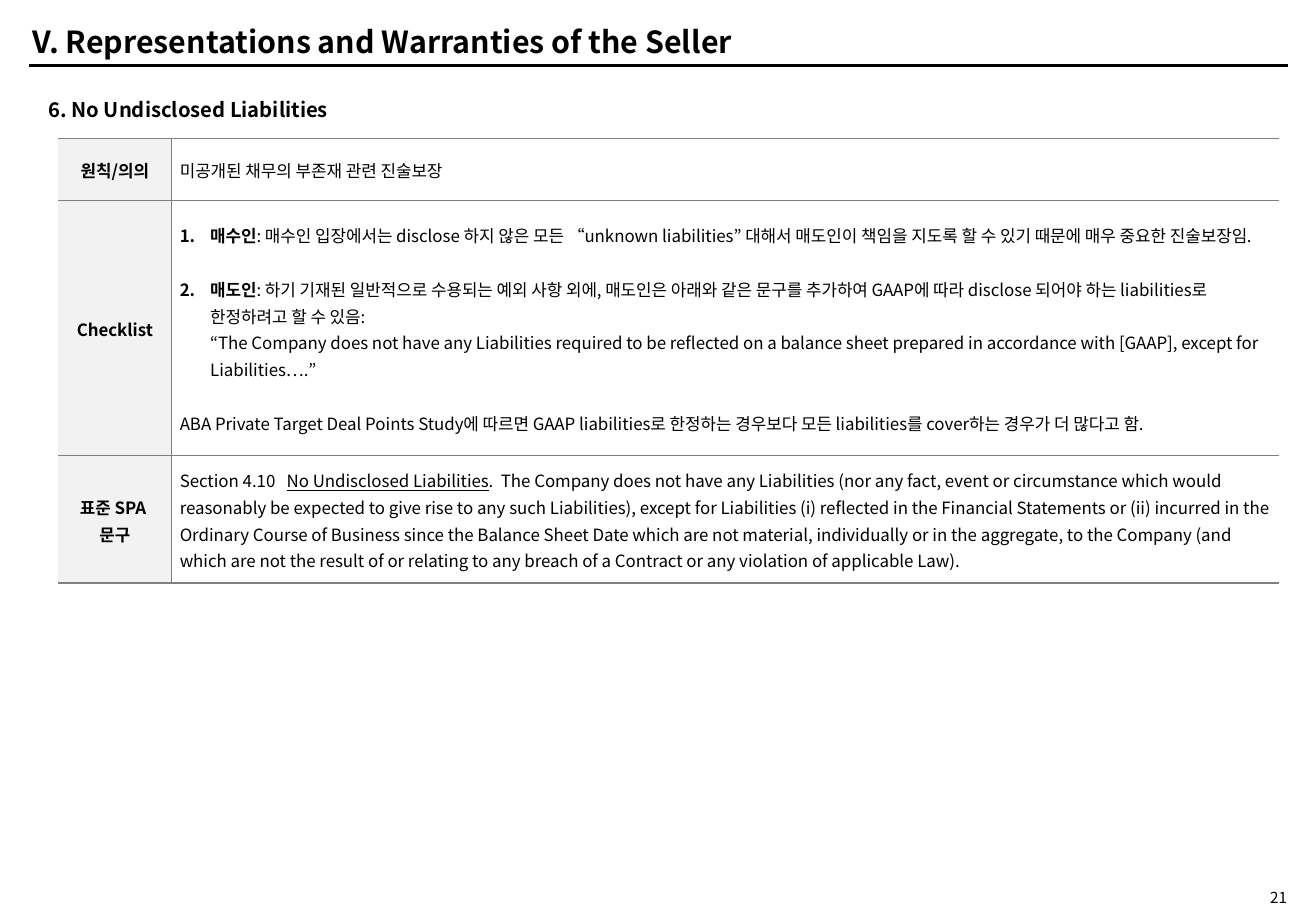
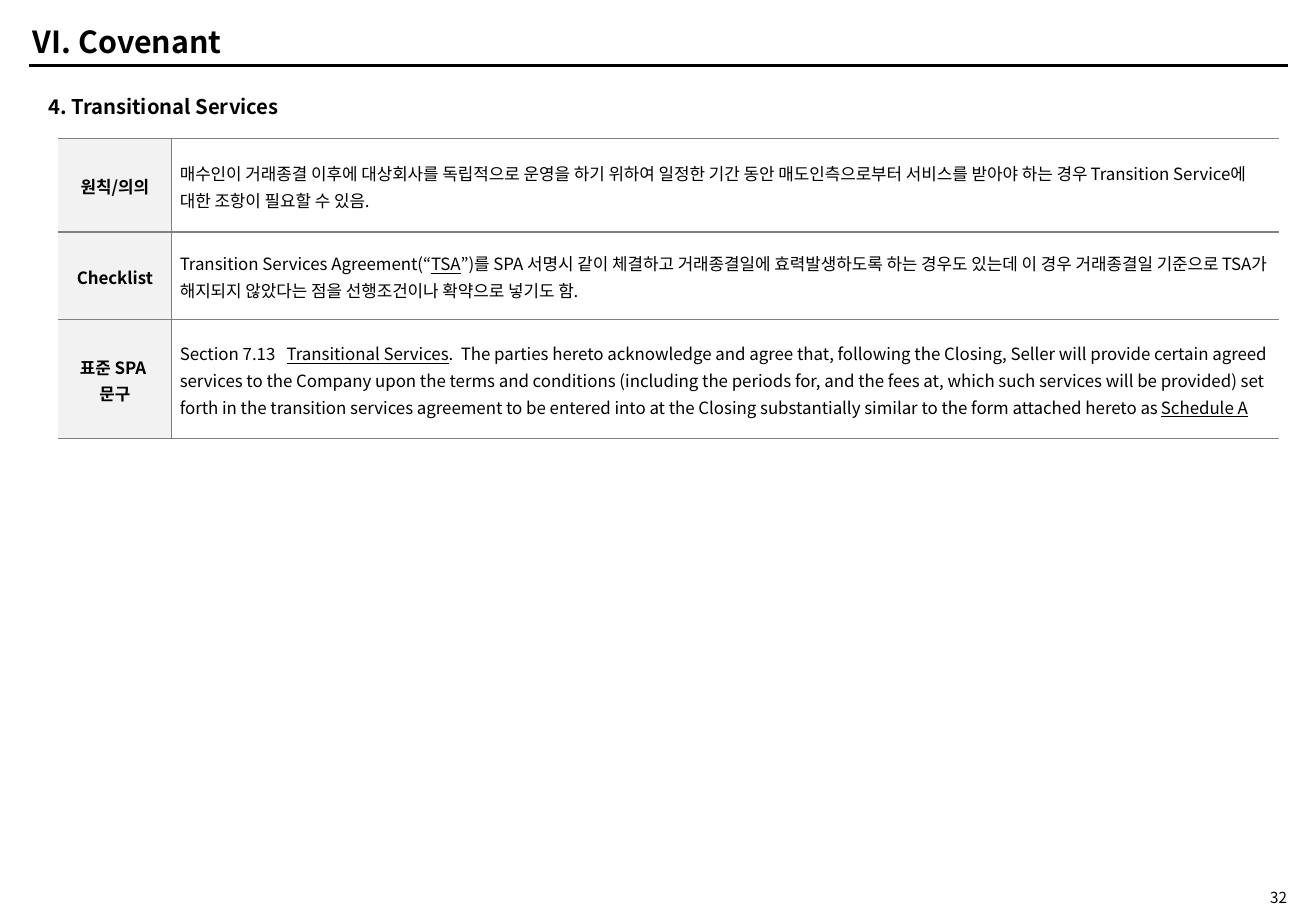
from copy import deepcopy
from dataclasses import dataclass

from lxml.etree import SubElement
from pptx import Presentation
from pptx.dml.color import RGBColor
from pptx.enum.shapes import MSO_CONNECTOR
from pptx.enum.text import MSO_ANCHOR, MSO_AUTO_SIZE, PP_ALIGN
from pptx.oxml.ns import qn
from pptx.util import Emu, Pt

PX = 9144
FONT = "Noto Sans CJK KR"
COLORS = {"ink": "000000", "grid": "808080", "label": "F2F2F2", "paper": "FFFFFF"}
LABELS = ("원칙/의의", "Checklist", "표준 SPA \n문구")
COLUMNS = (93, 912)
TABLE_LEFT, TABLE_TOP = 48, 114
SECTION_TAB = 88
LIST_INDENT = 25
BLOCK_GAP = 16


@dataclass
class Passage:
    runs: tuple
    numbered: bool = False
    gap: int = 0
    tab: int = 0


def px(value):
    return Emu(value * PX)


def color(name):
    return RGBColor.from_string(COLORS[name])


def add_runs(paragraph, runs, size):
    for text, style in runs:
        for index, line in enumerate(text.split("\n")):
            if index:
                paragraph.add_line_break()
                paragraph._p[-1].append(deepcopy(run._r.rPr))
            run = paragraph.add_run()
            run.text = line
            font = run.font
            font.size = Pt(size)
            font.bold = "b" in style
            font.underline = "u" in style
            font.color.rgb = color("ink")
            font.name = FONT
            SubElement(run._r.rPr, qn("a:ea"), typeface=FONT)


def add_title(slide, text, width):
    title = slide.shapes.title
    title.left, title.top, title.width, title.height = map(px, (17, 15, width, 38))
    frame = title.text_frame
    frame.auto_size = MSO_AUTO_SIZE.NONE
    frame.vertical_anchor = MSO_ANCHOR.MIDDLE
    paragraph = frame.paragraphs[0]
    paragraph.alignment = PP_ALIGN.LEFT
    add_runs(paragraph, [(text, "b")], 18)


def add_text(slide, box, text, size, style="", align=PP_ALIGN.LEFT):
    frame = slide.shapes.add_textbox(*map(px, box)).text_frame
    frame.word_wrap = True
    frame.auto_size = MSO_AUTO_SIZE.SHAPE_TO_FIT_TEXT
    paragraph = frame.paragraphs[0]
    paragraph.alignment = align
    add_runs(paragraph, [(text, style)], size)
    return frame


def add_rule(slide):
    rule = slide.shapes.add_connector(MSO_CONNECTOR.STRAIGHT, px(24), px(54), px(1060), px(54))
    rule.line.color.rgb = color("ink")
    rule.line.width = Pt(2)
    SubElement(rule._element.spPr, qn("a:effectLst"))


def add_page_number(slide, number):
    frame = add_text(slide, (975, 731, 94, 15), number, 9, align=PP_ALIGN.RIGHT)
    frame.vertical_anchor = MSO_ANCHOR.MIDDLE
    frame.margin_top = frame.margin_bottom = 0


def set_borders(cell, edges):
    properties = cell._tc.get_or_add_tcPr()
    for edge in "LRTB":
        line = SubElement(properties, qn(f"a:ln{edge}"), w=str(Pt(1)))
        if edge in edges:
            fill = SubElement(line, qn("a:solidFill"))
            SubElement(fill, qn("a:srgbClr"), val=COLORS["grid"])
        else:
            SubElement(line, qn("a:noFill"))


def fill_cell(cell, passages, edges, fill, align):
    set_borders(cell, edges)
    cell.fill.solid()
    cell.fill.fore_color.rgb = color(fill)
    cell.vertical_anchor = MSO_ANCHOR.MIDDLE
    cell.margin_left = cell.margin_right = px(7)
    cell.margin_top = cell.margin_bottom = 0
    frame = cell.text_frame
    for index, passage in enumerate(passages):
        paragraph = frame.add_paragraph() if index else frame.paragraphs[0]
        properties = paragraph._p.get_or_add_pPr()
        if passage.numbered:
            properties.set("marL", str(px(LIST_INDENT)))
            properties.set("indent", str(-px(LIST_INDENT)))
            SubElement(properties, qn("a:buAutoNum"), type="arabicPeriod")
        if passage.tab:
            tabs = SubElement(properties, qn("a:tabLst"))
            SubElement(tabs, qn("a:tab"), pos=str(px(passage.tab)), algn="l")
        paragraph.alignment = align
        paragraph.line_spacing = 1.1
        if passage.gap:
            paragraph.space_before = Pt(passage.gap)
        add_runs(paragraph, passage.runs, 10)


def add_clause_table(slide, heights, contents):
    box = (TABLE_LEFT, TABLE_TOP, sum(COLUMNS), sum(heights))
    table = slide.shapes.add_table(len(heights), len(COLUMNS), *map(px, box)).table
    table.first_row = table.horz_banding = False
    for column, width in zip(table.columns, COLUMNS):
        column.width = px(width)
    for row, height, label, passages in zip(table.rows, heights, LABELS, contents):
        row.height = px(height)
        label_cell, content_cell = row.cells
        fill_cell(label_cell, [Passage(((label, "b"),))], "RTB", "label", PP_ALIGN.CENTER)
        fill_cell(content_cell, passages, "LTB", "paper", PP_ALIGN.LEFT)


def add_clause_slide(presentation, title, title_width, heading, heading_box, page, heights, contents):
    slide = presentation.slides.add_slide(presentation.slide_layouts[5])
    add_rule(slide)
    add_page_number(slide, page)
    add_title(slide, title, title_width)
    add_text(slide, heading_box, heading, 12, "b")
    add_clause_table(slide, heights, contents)


def section(number, name, *rest):
    return Passage(((f"Section {number}\t", ""), (name, "u"), *rest), tab=SECTION_TAB)


LIABILITIES = (
    [Passage((("미공개된 채무의 부존재 관련 진술보장", ""),))],
    [
        Passage((
            ("매수인", "b"),
            (": 매수인 입장에서는 disclose 하지 않은 모든 “unknown liabilities” 대해서 매도인이 "
             "책임을 지도록 할 수 있기 때문에 매우 중요한 진술보장임.", ""),
        ), numbered=True),
        Passage((
            ("매도인", "b"),
            (": 하기 기재된 일반적으로 수용되는 예외 사항 외에, 매도인은 아래와 같은 문구를 추가하여 "
             "GAAP에 따라 disclose 되어야 하는 liabilities로 한정하려고 할 수 있음:\n"
             "“The Company does not have any Liabilities required to be reflected on a balance "
             "sheet prepared in accordance with [GAAP], except for Liabilities….”", ""),
        ), numbered=True, gap=BLOCK_GAP),
        Passage((
            ("ABA Private Target Deal Points Study에 따르면 GAAP liabilities로 한정하는 경우보다 "
             "모든 liabilities를 cover하는 경우가 더 많다고 함.", ""),
        ), gap=BLOCK_GAP),
    ],
    [section(
        "4.10", "No Undisclosed Liabilities",
        (".  The Company does not have any Liabilities (nor any fact, event or circumstance which "
         "would reasonably be expected to give rise to any such Liabilities), except for Liabilities "
         "(i) reflected in the Financial Statements or (ii) incurred in the Ordinary Course of "
         "Business since the Balance Sheet Date which are not material, individually or in the "
         "aggregate, to the Company (and which are not the result of or relating to any breach of a "
         "Contract or any violation of applicable Law).", ""),
    )],
)

SERVICES = (
    [Passage((
        ("매수인이 거래종결 이후에 대상회사를 독립적으로 운영을 하기 위하여 일정한 기간 동안 "
         "매도인측으로부터 서비스를 받아야 하는 경우 Transition Service에 대한 조항이 필요할 수 있음.", ""),
    ))],
    [Passage((
        ("Transition Services Agreement(“", ""),
        ("TSA", "u"),
        ("”)를 SPA 서명시 같이 체결하고 거래종결일에 효력발생하도록 하는 경우도 있는데 이 경우 "
         "거래종결일 기준으로 TSA가 해지되지 않았다는 점을 선행조건이나 확약으로 넣기도 함.", ""),
    ))],
    [section(
        "7.13", "Transitional Services",
        (".  The parties hereto acknowledge and agree that, following the Closing, Seller will "
         "provide certain agreed services to the Company upon the terms and conditions (including "
         "the periods for, and the fees at, which such services will be provided) set forth in the "
         "transition services agreement to be entered into at the Closing substantially similar to "
         "the form attached hereto as ", ""),
        ("Schedule A", "u"),
    )],
)


def main():
    presentation = Presentation()
    presentation.slide_width, presentation.slide_height = px(1083), px(750)
    add_clause_slide(
        presentation, "V. Representations and Warranties of the Seller", 747,
        "6. No Undisclosed Liabilities", (30, 75, 1002, 30), "21", (51, 210, 105), LIABILITIES)
    add_clause_slide(
        presentation, "VI. Covenant", 511,
        "4. Transitional Services", (30, 73, 406, 30), "32", (77, 72, 98), SERVICES)
    presentation.save("out.pptx")


if __name__ == "__main__":
    main()
